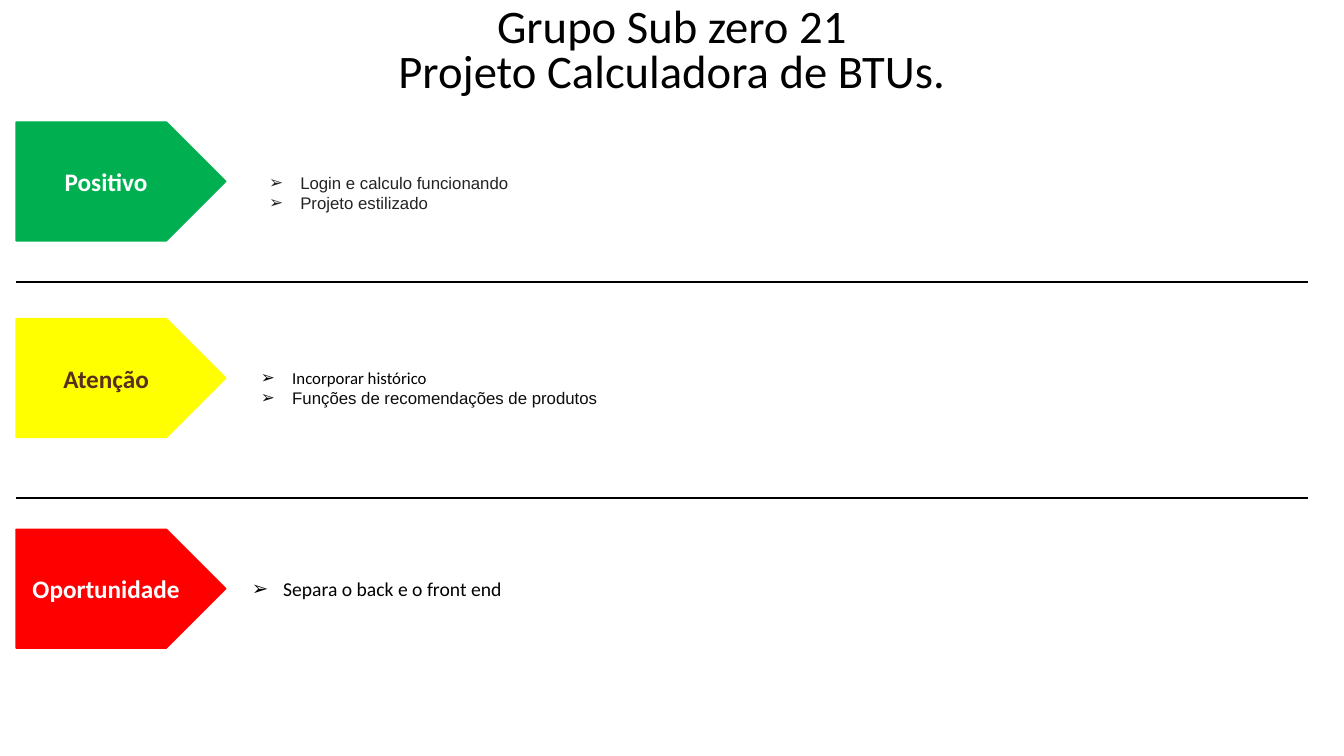
import pptx
import pptx.util
import pptx.dml.color
import pptx.enum.shapes
import pptx.enum.text
import pptx.oxml
import pptx.oxml.ns
from dataclasses import dataclass

TITLE = ["Grupo Sub zero 21", "Projeto Calculadora de BTUs."]
SECTIONS = [
    {"label": "Positivo", "fill": "00B050", "ink": "FFFFFF", "top": 1.21,
     "box": (2.57, 1.66, 9.93, 0.5), "size": 12,
     "items": [("Login e calculo funcionando", "Arial", "242424"),
               ("Projeto estilizado", "Arial", "242424")]},
    {"label": "Atenção", "fill": "FFFF00", "ink": "59301D", "top": 3.16,
     "box": (2.49, 3.6, 10.01, 0.5), "size": 12,
     "items": [("Incorporar histórico", "Calibri", "000000"),
               ("Funções de recomendações de produtos", "Arial", "0D0D0D")]},
    {"label": "Oportunidade", "fill": "FF0000", "ink": "FFFFFF", "top": 5.25,
     "box": (2.4, 5.67, 10.01, 0.34), "size": 14,
     "items": [("Separa o back e o front end", "Calibri", "000000")]},
]
DIVIDERS = [2.8, 4.94]
LEFT, RIGHT = 0.16, 12.97
ARROW_SIZE = (2.08, 1.18)
INDENT = 0.31


@dataclass(frozen=True)
class Theme:
    ink: str = "000000"
    font: str = "Calibri"
    title_size: float = 33.3
    label_size: float = 18
    outline: float = 1
    divider: float = 1.5


theme = Theme()
Inches = pptx.util.Inches
Pt = pptx.util.Pt
ALIGN = pptx.enum.text.PP_ALIGN
ANCHOR = pptx.enum.text.MSO_ANCHOR
AUTO = pptx.enum.text.MSO_AUTO_SIZE


def rgb(value):
    return pptx.dml.color.RGBColor.from_string(value)


def inches(values):
    return [Inches(v) for v in values]


def apply(target, formats):
    for name, value in formats.items():
        setattr(target, name, value)


def write(tf, lines, size, align, bold=False, spacing=None):
    for i, (text, font, color) in enumerate(lines):
        p = tf.paragraphs[0] if i == 0 else tf.add_paragraph()
        apply(p, {"alignment": align, "line_spacing": spacing})
        r = p.add_run()
        r.text = text
        apply(r.font, {"name": font, "size": Pt(size), "bold": bold})
        r.font.color.rgb = rgb(color)


def add_bullet(p):
    pPr = p._p.get_or_add_pPr()
    pPr.set("marL", str(Inches(INDENT)))
    pPr.set("indent", str(-Inches(INDENT)))
    for tag, name, value in [("a:buFont", "typeface", "Arial"), ("a:buChar", "char", "➢")]:
        bullet = pptx.oxml.parse_xml(f"<{tag} {pptx.oxml.ns.nsdecls('a')}/>")
        bullet.set(name, value)
        pPr.append(bullet)


def add_title(s):
    sp = s.shapes.title
    place = inches((0, 0, 13.33, 1.05))
    apply(sp, dict(zip(("left", "top", "width", "height"), place)))
    tf = sp.text_frame
    apply(tf, {"word_wrap": True, "vertical_anchor": ANCHOR.MIDDLE, "auto_size": AUTO.NONE})
    lines = [(text, theme.font, theme.ink) for text in TITLE]
    write(tf, lines, theme.title_size, ALIGN.CENTER, spacing=0.8)


def add_section(s, section):
    sp = s.shapes.add_shape(pptx.enum.shapes.MSO_SHAPE.PENTAGON,
                            *inches((LEFT, section["top"], *ARROW_SIZE)))
    sp.shadow.inherit = False
    sp.fill.solid()
    sp.fill.fore_color.rgb = rgb(section["fill"])
    sp.line.color.rgb = rgb(section["fill"])
    sp.line.width = Pt(theme.outline)
    tf = sp.text_frame
    apply(tf, {"word_wrap": True, "vertical_anchor": ANCHOR.MIDDLE})
    write(tf, [(section["label"], theme.font, section["ink"])],
          theme.label_size, ALIGN.CENTER, bold=True)

    tf = s.shapes.add_textbox(*inches(section["box"])).text_frame
    apply(tf, {"word_wrap": True, "auto_size": AUTO.SHAPE_TO_FIT_TEXT})
    write(tf, section["items"], section["size"], ALIGN.JUSTIFY)
    for p in tf.paragraphs:
        add_bullet(p)


def add_divider(s, y):
    line = s.shapes.add_connector(pptx.enum.shapes.MSO_CONNECTOR.STRAIGHT,
                                  *inches((LEFT, y, RIGHT, y)))
    line.line.color.rgb = rgb(theme.ink)
    line.line.width = Pt(theme.divider)
    effects = pptx.oxml.parse_xml(f"<a:effectLst {pptx.oxml.ns.nsdecls('a')}/>")
    line._element.spPr.append(effects)


def main():
    prs = pptx.Presentation()
    apply(prs, {"slide_width": Inches(13.33), "slide_height": Inches(7.5)})
    s = prs.slides.add_slide(prs.slide_layouts.get_by_name("Title Only"))
    add_title(s)
    for section in SECTIONS:
        add_section(s, section)
    for y in DIVIDERS:
        add_divider(s, y)
    prs.save("out.pptx")


if __name__ == "__main__":
    main()
